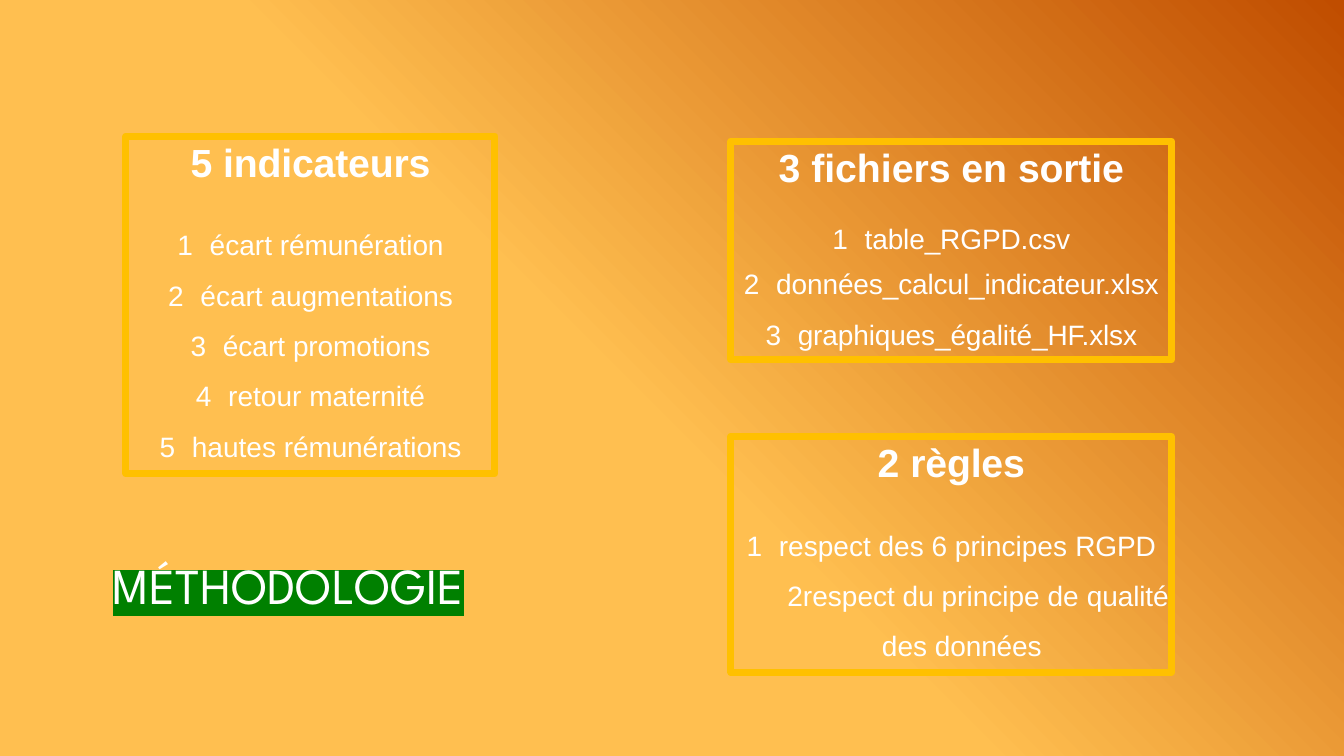
from lxml.etree import SubElement
from pptx import Presentation
from pptx.dml.color import RGBColor
from pptx.enum.shapes import MSO_SHAPE as SHAPE
from pptx.enum.text import MSO_ANCHOR as ANCHOR, MSO_AUTO_SIZE as AUTO, PP_ALIGN as ALIGN
from pptx.oxml.ns import qn
from pptx.util import Inches, Pt

# Content: in each text, "|" switches between normal and tightened letters
TITLE = "|MÉTHODOLOGIE"
LEFT, RIGHT = (1.25, 3.66), (7.25, 4.37)  # column: left, width
STEP = dict(before=12)
PANELS = [
    dict(col=LEFT, top=1.35, height=3.35, heading="5 |indicateurs", items=[
        ("écart |rémunération", dict(before=30.4)),
        ("écart |augmentations", STEP),
        ("écart |promotions", STEP),
        ("retour |maternité", STEP),
        ("hautes |rémunérations", STEP)]),
    dict(col=RIGHT, top=1.4, height=2.17, heading="3 fichiers en |sortie", items=[
        ("|table_RGPD.csv", dict(before=22.4)),
        ("|données_calcul_indicateur.xlsx", dict(before=8.2)),
        ("|graphiques_égalité_HF.xlsx", STEP)]),
    dict(col=RIGHT, top=4.33, height=2.34, heading="2 |règles", items=[
        ("respect des 6 principes |RGPD", dict(before=30.4)),
        ("respect du principe de |qualité |des |données",
         dict(margin=0.21, indent=0.32, spacing=1.5))]),
]
COLORS = dict(light="FFBF50", dark="C04D00", frame="FFC000", text="FFFFFF", label="008000")


def rgb(name):
    return RGBColor.from_string(COLORS[name])


def write(p, text, size=20, font="Arial", bold=False, align=ALIGN.CENTER, before=0,
          margin=0, indent=0, spacing=None, numbered=False, highlight=None):
    p.alignment, p.space_before, p.line_spacing = align, Pt(before), spacing
    pPr = p._p.get_or_add_pPr()
    pPr.set("marL", str(Inches(margin)))
    pPr.set("indent", str(Inches(indent)))
    if numbered:
        SubElement(pPr, qn("a:buAutoNum"), type="arabicPlain")
        tabs = SubElement(pPr, qn("a:tabLst"))
        SubElement(tabs, qn("a:tab"), pos=str(Inches(margin + max(indent, 0))), algn="l")
    for i, part in enumerate(text.split("|")):
        if not part:
            continue
        r = p.add_run()
        r.text = part
        r.font.size, r.font.bold, r.font.name = Pt(size), bold, font
        r.font.color.rgb = rgb("text")
        rPr = r.font._element
        rPr.set("spc", "-10" if i % 2 else "0")
        if highlight:
            mark = SubElement(rPr, qn("a:highlight"))
            SubElement(mark, qn("a:srgbClr"), val=COLORS[highlight])
            rPr.find(qn("a:solidFill")).addnext(mark)


def frame(sp, top_inset, anchor):
    tf = sp.text_frame
    tf.margin_left = tf.margin_right = tf.margin_bottom = 0
    tf.margin_top = Inches(top_inset)
    tf.vertical_anchor, tf.word_wrap, tf.auto_size = anchor, True, AUTO.SHAPE_TO_FIT_TEXT
    return tf


prs = Presentation()
prs.slide_width, prs.slide_height = Inches(13.33), Inches(7.5)
s = prs.slides.add_slide(prs.slide_layouts[5])

# Background
bg = s.background.fill
bg.gradient()
bg.gradient_angle = 45
for stop, (name, pos) in zip(bg.gradient_stops, [("light", 0.47), ("dark", 1)]):
    stop.color.rgb, stop.position = rgb(name), pos

# Title
title = s.shapes.title
title.left, title.top, title.width, title.height = map(Inches, (0.75, 5.36, 9.33, 0.74))
write(frame(title, 0.14, ANCHOR.MIDDLE).paragraphs[0], TITLE, size=36,
      font="League Spartan", align=ALIGN.LEFT, before=1, margin=0.37, highlight="label")

# Framed panels
for panel in PANELS:
    left, width = panel["col"]
    sp = s.shapes.add_shape(SHAPE.RECTANGLE, *map(Inches, (left, panel["top"], width, panel["height"])))
    sp.shadow.inherit = False
    sp.fill.background()
    sp.line.color.rgb, sp.line.width = rgb("frame"), Pt(5)
    tf = frame(sp, 0.02, ANCHOR.TOP)
    write(tf.paragraphs[0], panel["heading"], size=28, bold=True, before=1.6)
    for text, layout in panel["items"]:
        write(tf.add_paragraph(), text, numbered=True, **(dict(margin=0.32, indent=-0.32) | layout))

prs.save("out.pptx")
